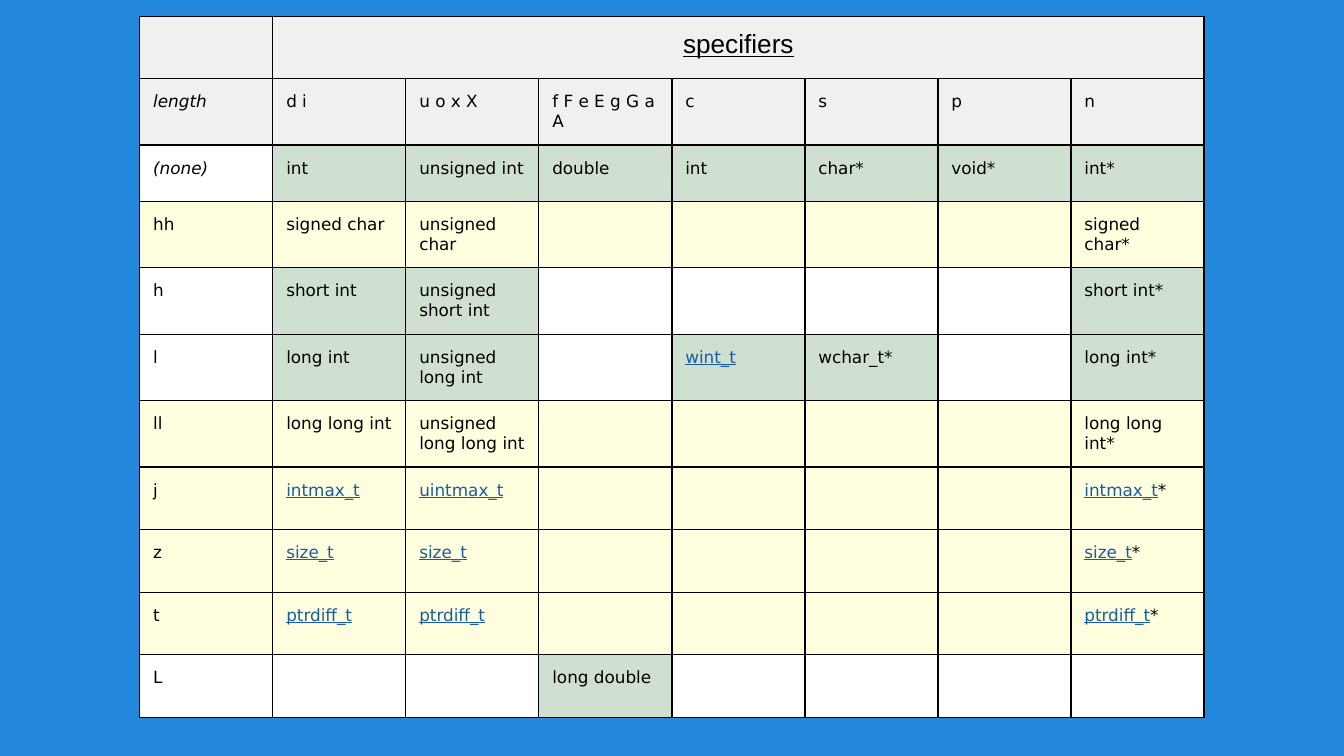
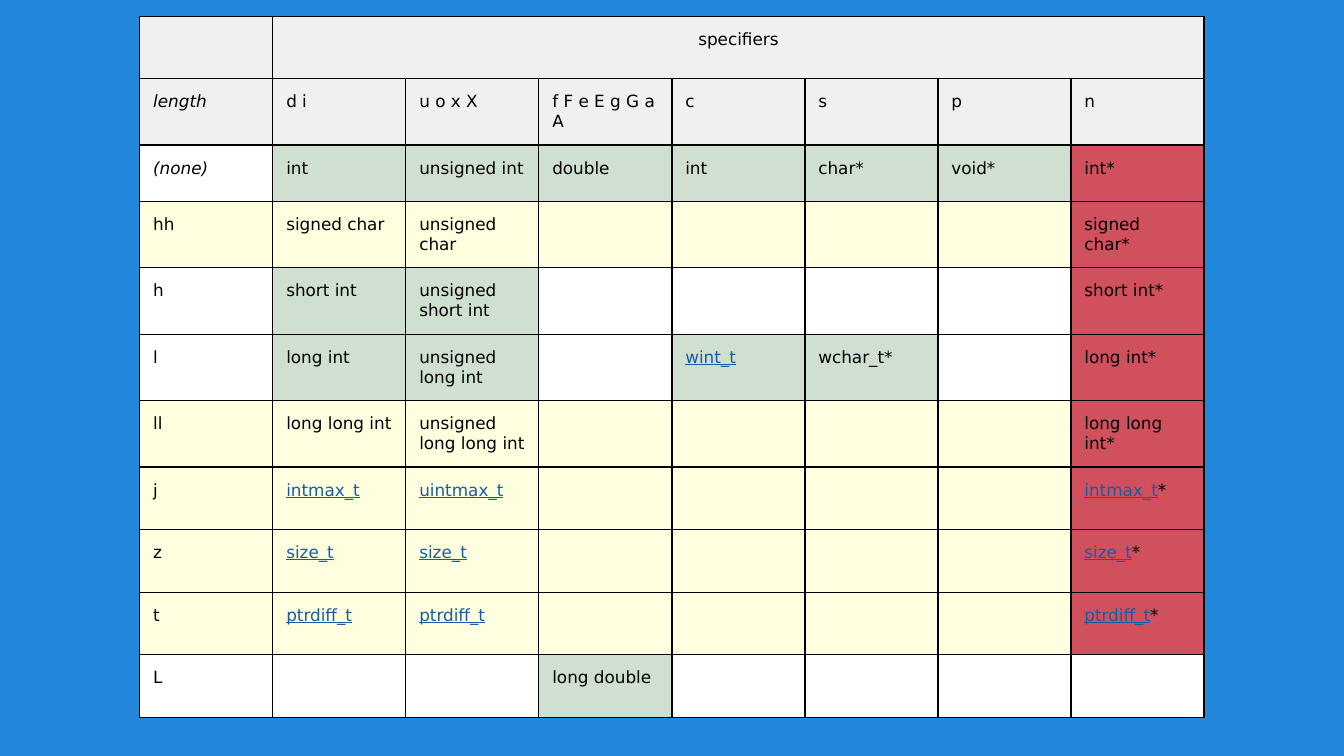
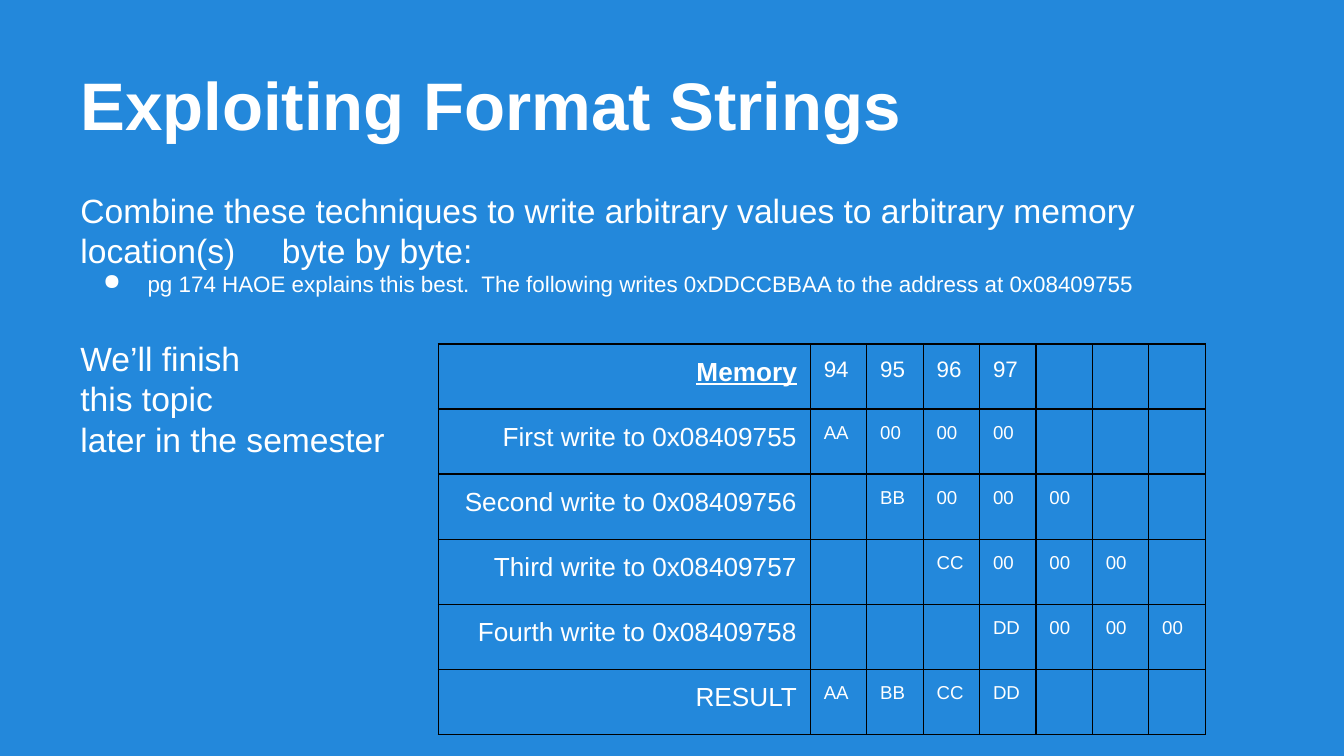
from lxml.etree import SubElement
from pptx import Presentation
from pptx.dml.color import RGBColor
from pptx.enum.text import MSO_ANCHOR as Anchor, PP_ALIGN as Align
from pptx.oxml.ns import qn
from pptx.util import Inches, Pt

BLUE = RGBColor(0x23, 0x88, 0xDB)
WHITE = RGBColor(0xFF, 0xFF, 0xFF)
BLACK = RGBColor(0x00, 0x00, 0x00)
GRAY = RGBColor(0xF0, 0xF0, 0xF0)
GREEN = RGBColor(0xD0, 0xE0, 0xD0)
YELLOW = RGBColor(0xFF, 0xFF, 0xE0)
RED = RGBColor(0xD1, 0x50, 0x5E)
LINK = RGBColor(0x18, 0x5D, 0xA2)

SANS = "Arial"
CODE = "DejaVu Sans"
INSET = 0.1
ROW_HEIGHT = 0.42
EMPTY_CELL_SIZE = 17

SPECIFIERS = [
    ["", "specifiers", "", "", "", "", "", ""],
    ["length", "d i", "u o x X", "f F e E g G a A", "c", "s", "p", "n"],
    ["(none)", "int", "unsigned int", "double", "int", "char*", "void*", "int*"],
    ["hh", "signed char", "unsigned char", "", "", "", "", "signed char*"],
    ["h", "short int", "unsigned short int", "", "", "", "", "short int*"],
    ["l", "long int", "unsigned long int", "", "wint_t", "wchar_t*", "", "long int*"],
    ["ll", "long long int", "unsigned long long int", "", "", "", "", "long long int*"],
    ["j", "intmax_t", "uintmax_t", "", "", "", "", "intmax_t*"],
    ["z", "size_t", "size_t", "", "", "", "", "size_t*"],
    ["t", "ptrdiff_t", "ptrdiff_t", "", "", "", "", "ptrdiff_t*"],
    ["L", "", "", "long double", "", "", "", ""],
]
HEADER_ROWS = 2
NEWER_LENGTHS = {"hh", "ll", "j", "z", "t"}
LINKED_TYPES = {"wint_t", "intmax_t", "uintmax_t", "size_t", "ptrdiff_t"}
ITALIC_LABELS = {"length", "(none)"}

TITLE = "Exploiting Format Strings"
INTRO = ("Combine these techniques to write arbitrary values to arbitrary "
         "memory location(s)\tbyte by byte:")
SOURCE_NOTE = ("pg 174 HAOE explains this best.  The following writes 0xDDCCBBAA "
               "to the address at 0x08409755")
CLOSING = ["We’ll finish", "this topic", "later in the semester"]
MEMORY = [
    ["Memory", "94", "95", "96", "97", "", "", ""],
    ["First write to 0x08409755", "AA", "00", "00", "00", "", "", ""],
    ["Second write to 0x08409756", "", "BB", "00", "00", "00", "", ""],
    ["Third write to 0x08409757", "", "", "CC", "00", "00", "00", ""],
    ["Fourth write to 0x08409758", "", "", "", "DD", "00", "00", "00"],
    ["RESULT", "AA", "BB", "CC", "DD", "", "", ""],
]


def add_slide(presentation):
    slide = presentation.slides.add_slide(presentation.slide_layouts[6])
    slide.background.fill.solid()
    slide.background.fill.fore_color.rgb = BLUE
    return slide


def add_run(paragraph, text, size, color, name=SANS, **styles):
    run = paragraph.add_run()
    run.text = text
    run.font.color.rgb = color
    for attribute, value in {"size": Pt(size), "name": name, **styles}.items():
        setattr(run.font, attribute, value)


def set_end_font(paragraph, size):
    """Size the paragraph mark, which rules empty lines and bullets."""
    mark = SubElement(paragraph._p, qn("a:endParaRPr"), sz=str(size * 100))
    SubElement(mark, qn("a:latin"), typeface=SANS)


def set_insets(frame):
    for side in ("left", "top", "right", "bottom"):
        setattr(frame, f"margin_{side}", Inches(INSET))


def add_text_box(slide, left, top, width, height, anchor):
    box = slide.shapes.add_textbox(*map(Inches, (left, top, width, height)))
    frame = box.text_frame
    frame.word_wrap = True
    frame.vertical_anchor = anchor
    set_insets(frame)
    return frame


def add_borders(cell):
    properties = cell._tc.get_or_add_tcPr()
    for position, tag in enumerate(("a:lnL", "a:lnR", "a:lnT", "a:lnB")):
        line = properties.makeelement(qn(tag), {"w": str(Pt(0.75))})
        color = SubElement(SubElement(line, qn("a:solidFill")), qn("a:srgbClr"))
        color.set("val", str(BLACK))
        properties.insert(position, line)


def add_grid(slide, left, top, widths, rows):
    """Add an unstyled table with black cell borders, ready for the texts in rows."""
    table = slide.shapes.add_table(
        len(rows), len(widths), Inches(left), Inches(top),
        Inches(sum(widths)), Inches(ROW_HEIGHT * len(rows))).table
    table.first_row = table.horz_banding = False
    for column, width in zip(table.columns, widths):
        column.width = Inches(width)
    for row, texts in zip(table.rows, rows):
        row.height = Inches(ROW_HEIGHT)
        for cell, text in zip(row.cells, texts):
            set_insets(cell)
            cell.fill.background()
            add_borders(cell)
            if not text:
                set_end_font(cell.text_frame.paragraphs[0], EMPTY_CELL_SIZE)
    return table


def specifier_fill(row, column, text, n_fill):
    if row < HEADER_ROWS:
        return GRAY
    if n_fill and text and column == len(SPECIFIERS[0]) - 1:
        return n_fill
    if SPECIFIERS[row][0] in NEWER_LENGTHS:
        return YELLOW
    return GREEN if text and column else WHITE


def add_specifier_slide(presentation, heading_style, n_fill=None):
    slide = add_slide(presentation)
    table = add_grid(slide, 1.04, 0.12, [0.99] * len(SPECIFIERS[0]), SPECIFIERS)
    table.cell(0, 1).merge(table.cell(0, len(SPECIFIERS[0]) - 1))
    for row, texts in enumerate(SPECIFIERS):
        for column, text in enumerate(texts):
            cell = table.cell(row, column)
            cell.fill.solid()
            cell.fill.fore_color.rgb = specifier_fill(row, column, text, n_fill)
            paragraph = cell.text_frame.paragraphs[0]
            type_name = text.rstrip("*")
            if not text:
                continue
            if row == 0:
                paragraph.alignment = Align.CENTER
                add_run(paragraph, text, color=BLACK, **heading_style)
            elif type_name in LINKED_TYPES:
                add_run(paragraph, type_name, 9, LINK, CODE, underline=True)
                if text != type_name:
                    add_run(paragraph, "*", 9, BLACK, CODE)
            else:
                add_run(paragraph, text, 9, BLACK, CODE, italic=text in ITALIC_LABELS)


def add_tab_stop(paragraph, position):
    stops = SubElement(paragraph._p.get_or_add_pPr(), qn("a:tabLst"))
    SubElement(stops, qn("a:tab"), pos=str(Inches(position)), algn="l")


def add_bullet(paragraph, margin, indent):
    properties = paragraph._p.get_or_add_pPr()
    properties.set("marL", str(Inches(margin)))
    properties.set("indent", str(Inches(indent)))
    color = SubElement(properties, qn("a:buClr"))
    SubElement(color, qn("a:srgbClr"), val=str(WHITE))
    SubElement(properties, qn("a:buChar"), char="●")


def add_memory_table(slide):
    table = add_grid(slide, 3.26, 2.56, [2.77] + [0.42] * 7, MEMORY)
    for row, texts in enumerate(MEMORY):
        for column, text in enumerate(texts):
            if not text:
                continue
            paragraph = table.cell(row, column).text_frame.paragraphs[0]
            if column == 0:
                paragraph.alignment = Align.RIGHT
                add_run(paragraph, text, 14, WHITE, bold=row == 0, underline=row == 0)
            else:
                add_run(paragraph, text, 12 if row == 0 else 10, WHITE)


def add_exploit_slide(presentation):
    slide = add_slide(presentation)
    title = add_text_box(slide, 0.5, 0.23, 9, 0.94, Anchor.BOTTOM)
    add_run(title.paragraphs[0], TITLE, 36, WHITE, bold=True)

    body = add_text_box(slide, 0.5, 1.31, 9, 4.07, Anchor.TOP)
    intro = body.paragraphs[0]
    add_tab_stop(intro, 1.5)
    add_run(intro, INTRO, 18, WHITE)
    note = body.add_paragraph()
    add_bullet(note, 0.5, -0.33)
    add_run(note, SOURCE_NOTE, 12, WHITE)
    set_end_font(note, 12)
    for index, text in enumerate(CLOSING):
        paragraph = body.add_paragraph()
        paragraph.space_before = Pt(0 if index else 22)
        add_run(paragraph, text, 18, WHITE)

    add_memory_table(slide)


def main():
    presentation = Presentation()
    presentation.slide_width = Inches(10)
    presentation.slide_height = presentation.slide_width * 9 // 16
    add_specifier_slide(presentation, {"size": 14, "name": SANS, "underline": True})
    add_specifier_slide(presentation, {"size": 9, "name": CODE}, n_fill=RED)
    add_exploit_slide(presentation)
    presentation.save("out.pptx")


if __name__ == "__main__":
    main()
